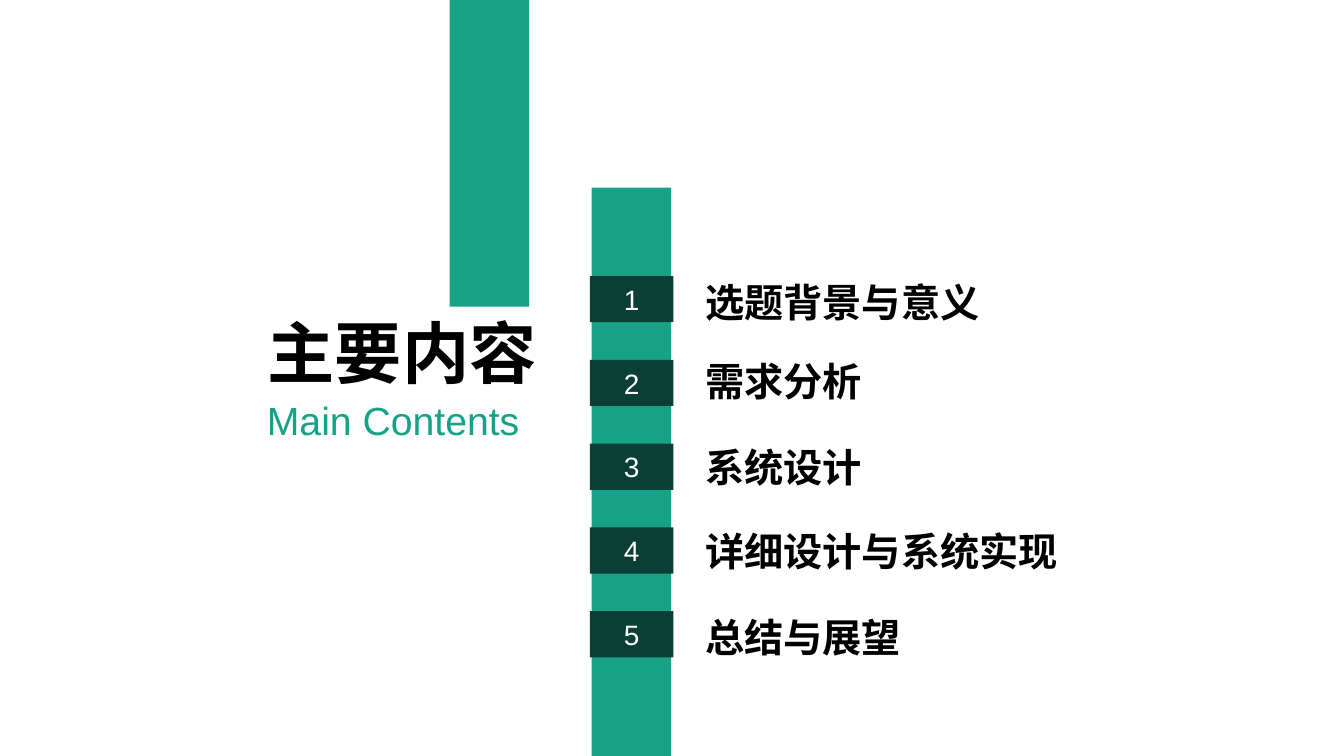
from lxml import etree
from pptx import Presentation
from pptx.dml.color import RGBColor
from pptx.enum.shapes import MSO_SHAPE
from pptx.enum.text import MSO_ANCHOR, MSO_AUTO_SIZE, PP_ALIGN
from pptx.oxml.ns import qn
from pptx.util import Pt

RECTANGLE = MSO_SHAPE.RECTANGLE
MIDDLE = MSO_ANCHOR.MIDDLE
GROW = MSO_AUTO_SIZE.SHAPE_TO_FIT_TEXT
LEFT, CENTER, RIGHT = PP_ALIGN.LEFT, PP_ALIGN.CENTER, PP_ALIGN.RIGHT

GREEN, DARK_GREEN, BLACK, WHITE = "16A287", "093F35", "000000", "FFFFFF"
CHINESE_FONT, LATIN_FONT = "Noto Sans CJK SC", "Arial"

HEADING = {"name": CHINESE_FONT, "size": Pt(48), "bold": True}
SUBHEADING = {"name": LATIN_FONT, "size": Pt(28)}
ENTRY = {"name": CHINESE_FONT, "size": Pt(28), "bold": True}
NUMBER = {"name": LATIN_FONT, "size": Pt(20)}

presentation = Presentation()
presentation.slide_width = Pt(960)
presentation.slide_height = Pt(540)
slide = presentation.slides.add_slide(presentation.slide_layouts[6])


def add_rectangle(left, top, width, height, color):
    shape = slide.shapes.add_shape(RECTANGLE, Pt(left), Pt(top), Pt(width), Pt(height))
    shape.shadow.inherit = False
    shape.fill.solid()
    shape.fill.fore_color.rgb = RGBColor.from_string(color)
    shape.line.fill.background()
    return shape


def write(shape, text, font_values, color, alignment):
    """Fill a shape with one formatted line, for Latin and East Asian glyphs alike."""
    shape.text_frame.word_wrap = True
    paragraph = shape.text_frame.paragraphs[0]
    paragraph.alignment = alignment
    run = paragraph.add_run()
    run.text = text
    run.font.color.rgb = RGBColor.from_string(color)
    for attribute, value in font_values.items():
        setattr(run.font, attribute, value)
    east_asian = etree.SubElement(run.font._element, qn("a:ea"))
    east_asian.set("typeface", font_values["name"])


# Vertical bars
add_rectangle(321.2, 0, 56.8, 219, GREEN)
add_rectangle(422.7, 134, 56.8, 406, GREEN)

# Text boxes: left, top, width, height, text, font, colour, alignment
text_boxes = [
    (175.7, 218.9, 223.2, 65.5, "主要内容", HEADING, BLACK, CENTER),
    (133.2, 279.4, 244.8, 41, "Main Contents", SUBHEADING, GREEN, RIGHT),
]
entries = [
    (195.1, 235.4, "选题背景与意义"),
    (252, 235.4, "需求分析"),
    (313.2, 235.4, "系统设计"),
    (373, 321.1, "详细设计与系统实现"),
    (434.9, 235.4, "总结与展望"),
]
for top, width, text in entries:
    text_boxes.append((496.8, top, width, 41, text, ENTRY, BLACK, LEFT))

for left, top, width, height, text, font_values, color, alignment in text_boxes:
    text_box = slide.shapes.add_textbox(Pt(left), Pt(top), Pt(width), Pt(height))
    write(text_box, text, font_values, color, alignment)
    text_box.text_frame.auto_size = GROW

# Number plates on the right-hand bar
for index in range(len(entries)):
    plate = add_rectangle(421.3, 197.2 + 59.85 * index, 59.6, 33, DARK_GREEN)
    plate.text_frame.vertical_anchor = MIDDLE
    write(plate, str(index + 1), NUMBER, WHITE, CENTER)

presentation.save("out.pptx")
